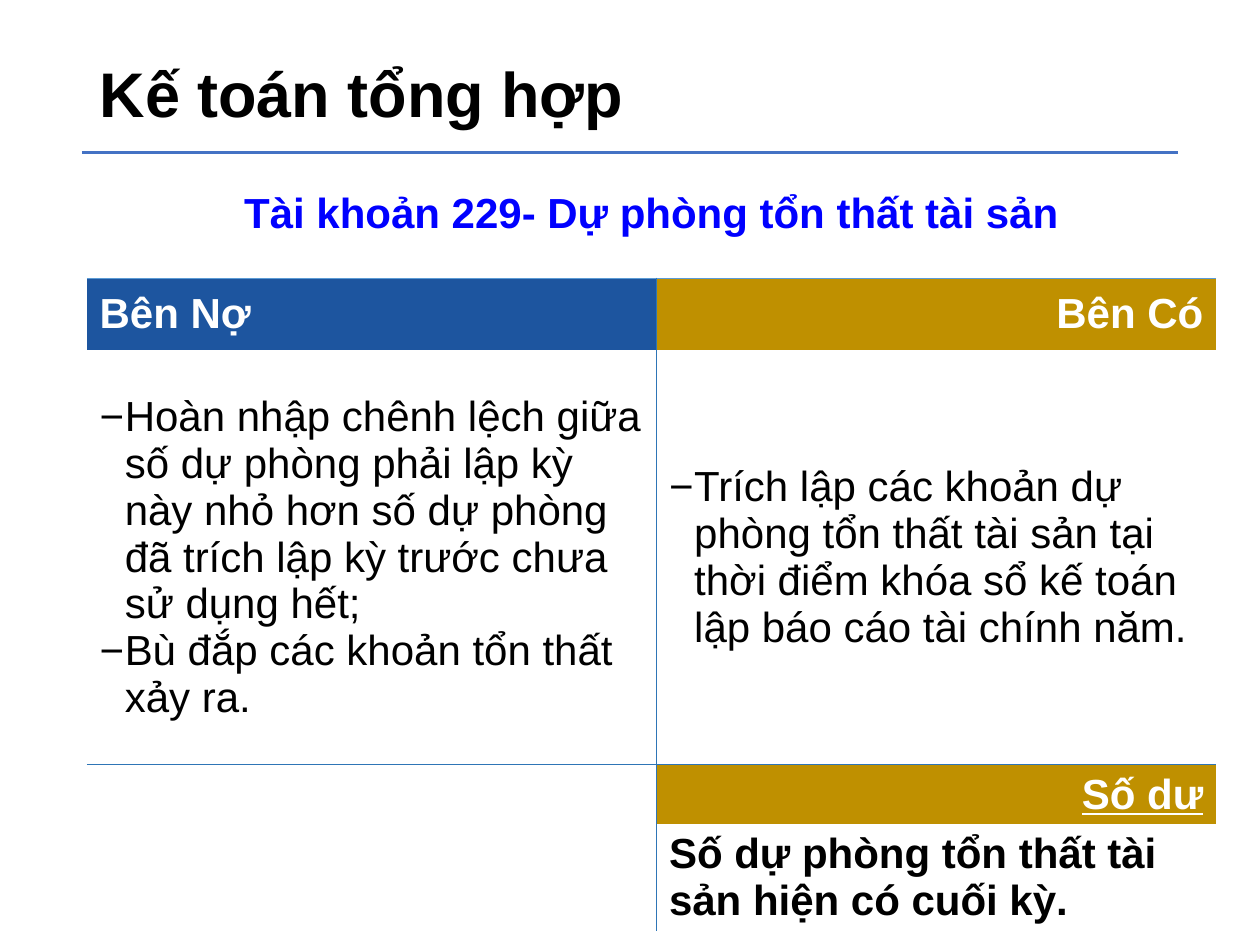
from pptx import Presentation
from pptx.dml.color import RGBColor
from pptx.enum.shapes import MSO_CONNECTOR
from pptx.enum.text import MSO_ANCHOR, PP_ALIGN
from pptx.oxml.ns import qn
from pptx.util import Inches, Pt
from lxml.etree import SubElement

COLORS = {
    "black": "000000", "white": "FFFFFF", "heading": "0000FF", "debit": "1D559F",
    "credit": "BF9000", "rule": "4472C4", "grid": "2E75B6", "top": "5B9BD5",
}
PLAIN_TABLE = "{2D5ABB26-0587-4C30-8999-92F81FD0307C}"


class AccountSlide:
    """Holds the style and the slide; lengths are units of a 100 by 75 grid."""

    font_name = "Arial"
    body_size = 24
    hang = 2

    def __init__(self, deck):
        self.unit = deck.slide_width / 100
        self.slide = deck.slides.add_slide(deck.slide_layouts[5])

    def span(self, *units):
        return [round(self.unit * count) for count in units]

    def color(self, name):
        return RGBColor.from_string(COLORS[name])

    def style(self, paragraph, size, color, bold=True, underline=None):
        font = paragraph.font
        font.name, font.size = self.font_name, Pt(size)
        font.bold, font.underline = bold, underline
        font.color.rgb = self.color(color)

    def title(self, text, left, top, width, height):
        title = self.slide.shapes.title
        title.left, title.top, title.width, title.height = self.span(left, top, width, height)
        frame = title.text_frame
        frame.text, frame.word_wrap = text, True
        frame.vertical_anchor = MSO_ANCHOR.MIDDLE
        heading = frame.paragraphs[0]
        heading.alignment, heading.line_spacing = PP_ALIGN.LEFT, 0.9
        self.style(heading, 36, "black")

    def rule(self, left, right, y):
        line = self.slide.shapes.add_connector(
            MSO_CONNECTOR.STRAIGHT, *self.span(left, y, right, y))
        line.line.color.rgb, line.line.width = self.color("rule"), Pt(1.5)
        SubElement(line._element.spPr, qn("a:effectLst"))

    def table(self, left, top, columns, rows):
        frame = self.slide.shapes.add_table(
            len(rows), len(columns), *self.span(left, top, sum(columns), sum(rows)))
        table = frame.table
        table.first_row = table.horz_banding = False
        table._tbl.tblPr.find(qn("a:tableStyleId")).text = PLAIN_TABLE
        for column, width in zip(table.columns, self.span(*columns)):
            column.width = width
        for row, height in zip(table.rows, self.span(*rows)):
            row.height = height
        return table

    def border(self, cell, side, color="grid"):
        line = SubElement(cell._tc.get_or_add_tcPr(), qn(f"a:ln{side}"), w=str(Pt(1)))
        fill = SubElement(line, qn("a:solidFill"))
        SubElement(fill, qn("a:srgbClr"), val=COLORS[color])

    def bullet(self, paragraph):
        properties = paragraph._p.get_or_add_pPr()
        indent = self.span(self.hang)[0]
        properties.set("marL", str(indent))
        properties.set("indent", str(-indent))
        SubElement(properties, qn("a:buFont"), typeface=self.font_name)
        SubElement(properties, qn("a:buChar"), char="−")

    def cell(self, cell, *texts, color="black", fill=None, align=PP_ALIGN.LEFT,
             bold=True, underline=None, bullets=False):
        cell.text = "\n".join(texts)
        cell.vertical_anchor = MSO_ANCHOR.MIDDLE
        if fill:
            cell.fill.solid()
            cell.fill.fore_color.rgb = self.color(fill)
        else:
            cell.fill.background()
        for paragraph in cell.text_frame.paragraphs:
            paragraph.alignment = align
            if bullets:
                self.bullet(paragraph)
            self.style(paragraph, self.body_size, color, bold, underline)


def main():
    deck = Presentation()
    deck.slide_width, deck.slide_height = Inches(10), Inches(7.5)
    page = AccountSlide(deck)
    page.rule(6.5, 93.5, 12.1)
    page.title("Kế toán tổng hợp", 6.9, 4.1, 48.1, 7.2)

    account = page.table(6.9, 11.9, [45.2, 44.4], [10.2, 5.7, 32.9, 4.6, 8.2])
    account.cell(0, 0).merge(account.cell(0, 1))
    for row in range(1, 5):
        page.border(account.cell(row, 0), "R")
        page.border(account.cell(row, 1), "L")
    for column in range(2):
        page.border(account.cell(0, column), "B", "top")
        page.border(account.cell(2, column), "B")

    page.cell(account.cell(0, 0), "Tài khoản 229- Dự phòng tổn thất tài sản",
              color="heading", align=PP_ALIGN.CENTER)
    page.cell(account.cell(1, 0), "Bên Nợ", color="white", fill="debit")
    page.cell(account.cell(1, 1), "Bên Có", color="white", fill="credit",
              align=PP_ALIGN.RIGHT)
    page.cell(account.cell(2, 0),
              "Hoàn nhập chênh lệch giữa số dự phòng phải lập kỳ này nhỏ hơn "
              "số dự phòng đã trích lập kỳ trước chưa sử dụng hết;",
              "Bù đắp các khoản tổn thất xảy ra.", bold=False, bullets=True)
    page.cell(account.cell(2, 1),
              "Trích lập các khoản dự phòng tổn thất tài sản tại thời điểm khóa sổ "
              "kế toán lập báo cáo tài chính năm.", bold=False, bullets=True)
    page.cell(account.cell(3, 1), "Số dư", color="white", fill="credit",
              align=PP_ALIGN.RIGHT, underline=True)
    page.cell(account.cell(4, 1), "Số dự phòng tổn thất tài sản hiện có cuối kỳ.")
    deck.save("out.pptx")


if __name__ == "__main__":
    main()
